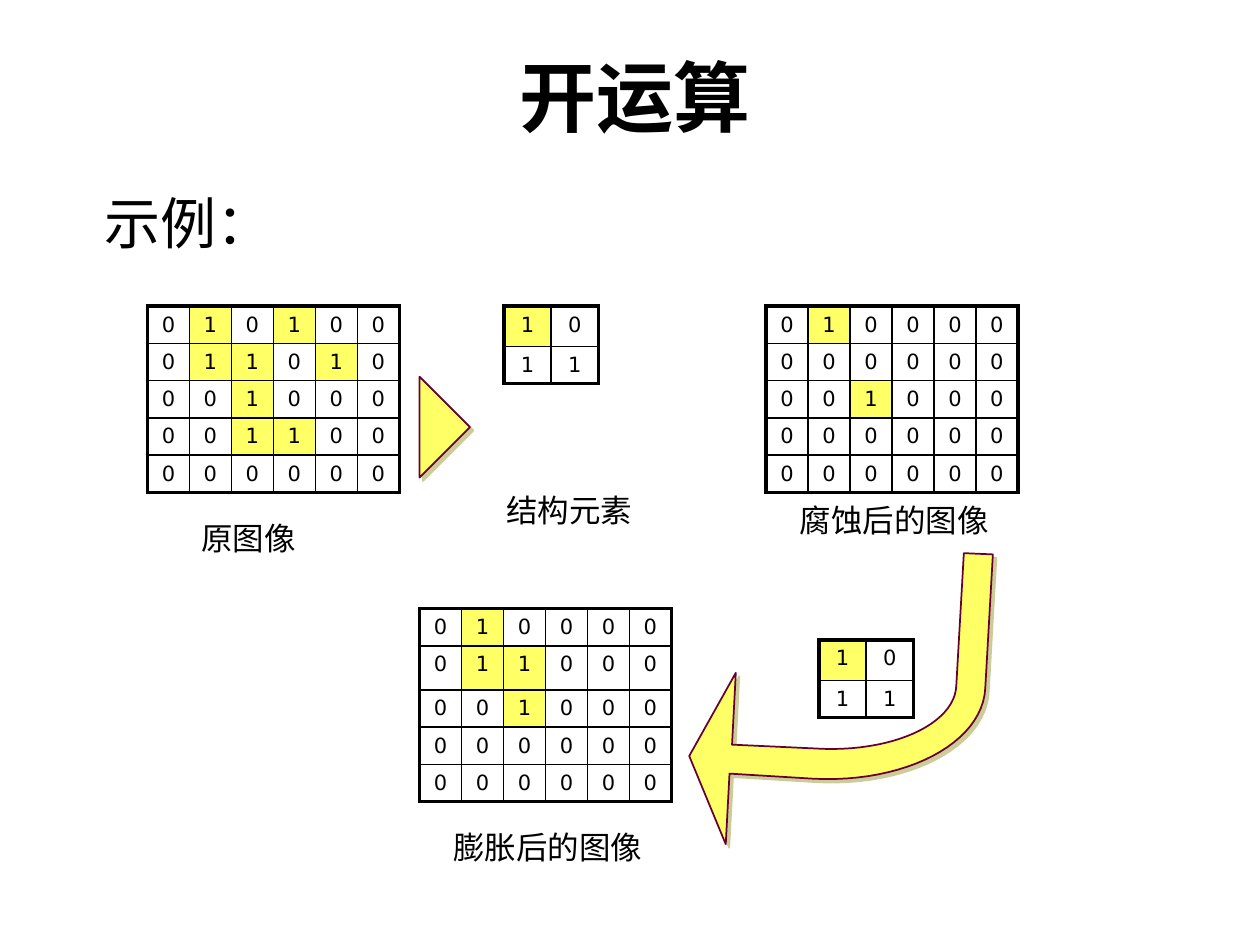
import pptx
import pptx.util
import pptx.oxml
from pptx.dml.color import RGBColor
from pptx.enum.shapes import MSO_SHAPE
from pptx.enum.text import MSO_ANCHOR, MSO_AUTO_SIZE, PP_ALIGN
from pptx.oxml.ns import nsdecls
from pptx.util import Inches, Pt

BLACK = RGBColor(0x00, 0x00, 0x00)
WHITE = RGBColor(0xFF, 0xFF, 0xFF)
YELLOW = RGBColor(0xFF, 0xFF, 0x66)
MAROON = RGBColor(0x66, 0x00, 0x33)
SHADOW = RGBColor(0xCC, 0xCC, 0x99)
TEXT_FONT, GRID_FONT = "Times New Roman", "DejaVu Sans"

TITLE = "开运算"
ORIGINAL = ["010100", "011010", "001000", "001100", "000000"]
ERODED = ["010000", "000000", "001000", "000000", "000000"]
DILATED = ["010000", "011000", "001000", "000000", "000000"]
ELEMENT = ["10", "11"]
EVEN_ROWS = [0.27] * 5
DILATED_ROWS = [0.27, 0.35, 0.27, 0.27, 0.27]
ELEMENT_ROWS = [0.32, 0.26]
ELEMENT_MARKS = [(0, 0)]  # only the origin is coloured

# left, top, width, height, row heights, values, coloured cells (None: every 1)
GRIDS = [
    (1.17, 2.43, 2, 1.5, EVEN_ROWS, ORIGINAL, None),
    (4, 2.43, 0.75, 0.62, ELEMENT_ROWS, ELEMENT, ELEMENT_MARKS),
    (6.08, 2.43, 2, 1.5, EVEN_ROWS, ERODED, None),
    (6.5, 5.08, 0.75, 0.62, ELEMENT_ROWS, ELEMENT, ELEMENT_MARKS),
    (3.33, 4.83, 2, 1.55, DILATED_ROWS, DILATED, None),
]

# text, left, top, width, height, size
LABELS = [
    ("示例：", 0.73, 1.45, 1.55, 0.64, 32),
    ("原图像", 1.5, 4.07, 0.95, 0.4, 18),
    ("结构元素", 3.92, 3.85, 1.2, 0.4, 18),
    ("腐蚀后的图像", 6.25, 3.93, 1.7, 0.4, 18),
    ("膨胀后的图像", 3.5, 6.52, 1.7, 0.4, 18),
]

# Bent arrow: straight stretches, with its outer and inner bends as Bezier curves
HEAD = [(5.84, 5.34), (5.47, 6), (5.76, 6.7), (5.79, 6.14), (6.45, 6.18)]
OUTER_BEND = [(6.45, 6.18), (7.18, 6.22), (7.8, 5.9), (7.82, 5.46)]
TAIL = [(7.88, 4.4), (7.65, 4.39), (7.59, 5.44)]
INNER_BEND = [(7.59, 5.44), (7.58, 5.75), (7.07, 5.98), (6.46, 5.94)]
NECK = [(5.81, 5.91)]


def bezier(points, steps=24):
    """Points along a cubic curve, without its start."""
    curve = []
    for i in range(1, steps + 1):
        t = i / steps
        weights = ((1 - t) ** 3, 3 * t * (1 - t) ** 2, 3 * t * t * (1 - t), t ** 3)
        curve.append(tuple(sum(w * pt[axis] for w, pt in zip(weights, points))
                           for axis in (0, 1)))
    return curve


def add_run(p, text, size, font, bold=False):
    r = p.add_run()
    r.text = text
    r.font.size, r.font.name, r.font.bold = Pt(size), font, bold
    r.font.color.rgb = BLACK


def set_borders(cell, widths):
    """Border widths in points, in the order left, right, top, bottom."""
    props = cell._tc.get_or_add_tcPr()
    for i, (side, width) in enumerate(zip("LRTB", widths)):
        props.insert(i, pptx.oxml.parse_xml(
            f'<a:ln{side} {nsdecls("a")} w="{Pt(width)}"><a:solidFill>'
            f'<a:srgbClr val="{BLACK}"/></a:solidFill></a:ln{side}>'))


def add_grid(s, left, top, width, height, row_heights, values, marks):
    rows, cols = len(values), len(values[0])
    frame = s.shapes.add_table(rows, cols, Inches(left), Inches(top),
                               Inches(width), Inches(height))
    table = frame.table
    table.first_row = table.horz_banding = False
    for row, row_height in zip(table.rows, row_heights):
        row.height = Inches(row_height)
    frame.height = Inches(height)
    for i, line in enumerate(values):
        for j, value in enumerate(line):
            cell = table.cell(i, j)
            outer = (j == 0, j == cols - 1, i == 0, i == rows - 1)
            set_borders(cell, [2.25 if edge else 1 for edge in outer])
            marked = value == "1" if marks is None else (i, j) in marks
            if marked:
                cell.fill.solid()
                cell.fill.fore_color.rgb = YELLOW
            else:
                cell.fill.background()
            p = cell.text_frame.paragraphs[0]
            p.alignment = PP_ALIGN.CENTER
            add_run(p, value, 12, GRID_FONT)


def paint(sp, fill, line):
    sp.shadow.inherit = False
    sp.fill.solid()
    sp.fill.fore_color.rgb = fill
    sp.line.color.rgb = line
    sp.line.width = Pt(1)


def add_label(s, text, left, top, width, height, size):
    sp = s.shapes.add_shape(MSO_SHAPE.RECTANGLE, Inches(left), Inches(top),
                            Inches(width), Inches(height))
    paint(sp, WHITE, WHITE)
    tf = sp.text_frame
    tf.word_wrap = False
    tf.auto_size = MSO_AUTO_SIZE.SHAPE_TO_FIT_TEXT
    tf.vertical_anchor = MSO_ANCHOR.TOP
    p = tf.paragraphs[0]
    p.alignment = PP_ALIGN.LEFT
    add_run(p, text, size, TEXT_FONT)


def paint_arrow(sp):
    paint(sp, YELLOW, MAROON)
    effects = sp._element.spPr.find(pptx.oxml.ns.qn("a:effectLst"))
    effects.append(pptx.oxml.parse_xml(
        f'<a:outerShdw {nsdecls("a")} dist="{Pt(2.8)}" dir="2700000" algn="ctr" '
        f'rotWithShape="0"><a:srgbClr val="{SHADOW}"/></a:outerShdw>'))


def main():
    prs = pptx.Presentation()
    prs.slide_width, prs.slide_height = Inches(10), Inches(7.5)
    s = prs.slides.add_slide(prs.slide_layouts[5])

    title = s.shapes.title
    title.left, title.top = Inches(0.83), Inches(0.58)
    title.width, title.height = Inches(8.42), Inches(0.6)
    tf = title.text_frame
    tf.auto_size = MSO_AUTO_SIZE.NONE
    tf.vertical_anchor = MSO_ANCHOR.BOTTOM
    tf.paragraphs[0].alignment = PP_ALIGN.CENTER
    add_run(tf.paragraphs[0], TITLE, 44, TEXT_FONT, bold=True)

    for grid in GRIDS:
        add_grid(s, *grid)
    for label in LABELS:
        add_label(s, *label)

    arrow = s.shapes.add_shape(MSO_SHAPE.RIGHT_ARROW, Inches(3.33), Inches(2.99),
                               Inches(0.4), Inches(0.8))
    arrow.adjustments[0], arrow.adjustments[1] = 0.5, 2.67
    paint_arrow(arrow)

    outline = HEAD + bezier(OUTER_BEND) + TAIL + bezier(INNER_BEND) + NECK
    points = [(Inches(x), Inches(y)) for x, y in outline]
    builder = s.shapes.build_freeform(*points[0])
    builder.add_line_segments(points[1:], close=True)
    paint_arrow(builder.convert_to_shape())

    prs.save("out.pptx")


if __name__ == "__main__":
    main()
